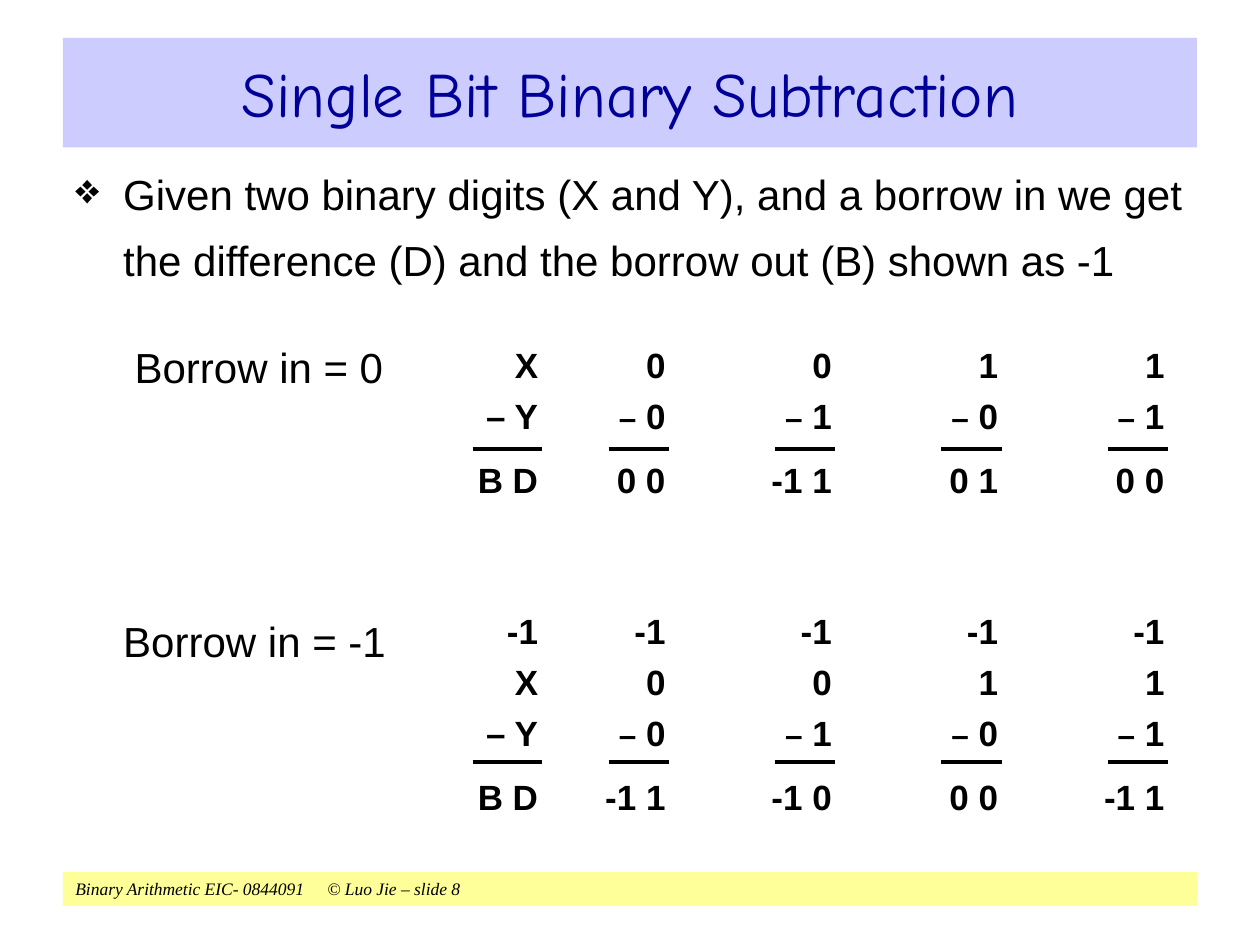
from lxml.etree import SubElement
from pptx import Presentation
from pptx.dml.color import RGBColor
from pptx.enum.shapes import MSO_CONNECTOR, MSO_SHAPE
from pptx.enum.text import MSO_ANCHOR, PP_ALIGN
from pptx.oxml.ns import qn
from pptx.util import Inches, Pt

TITLE = "Single Bit Binary Subtraction"
FOOTER = "Binary Arithmetic EIC- 0844091\t© Luo Jie – slide 8"
BODY = [
    ("Given two binary digits (X and Y), and a borrow in we get "
     "the difference (D) and the borrow out (B) shown as -1", 0.38, 0, "❖"),
    ("Borrow in = 0", 0.47, 24, None),
    ("Borrow in = -1", 0.38, 119, None),
]
OPERANDS = [("X", "Y"), ("0", "0"), ("0", "1"), ("1", "0"), ("1", "1")]
BLOCKS = [
    {"top": 2.68, "height": 1.35, "rule": 3.56, "borrow": [],
     "results": ["B D", "0 0", "-1 1", "0 1", "0 0"]},
    {"top": 4.79, "height": 1.75, "rule": 6.05, "borrow": ["-1"],
     "results": ["B D", "-1 1", "-1 0", "0 0", "-1 1"]},
]
MARGIN, CONTENT_WIDTH = 0.5, 9
LEGEND_LEFT, LEGEND_WIDTH = 3.61, 0.76
DIGITS_LEFT, DIGITS_WIDTH, DIGITS_PITCH = 4.69, 0.69, 1.32


def color(value):
    return RGBColor.from_string(value)


def style(paragraph, size, name="Arial", fill="000000", bold=False, italic=False):
    font = paragraph.font
    font.size, font.name, font.bold, font.italic = Pt(size), name, bold, italic
    font.color.rgb = color(fill)


def add_band(slide, top, height, fill, text):
    shape = slide.shapes.add_shape(MSO_SHAPE.RECTANGLE, Inches(MARGIN), Inches(top),
                                   Inches(CONTENT_WIDTH), Inches(height))
    shape.shadow.inherit = False
    shape.fill.solid()
    shape.fill.fore_color.rgb = color(fill)
    shape.line.fill.background()
    shape.text_frame.vertical_anchor = MSO_ANCHOR.MIDDLE
    paragraph = shape.text_frame.paragraphs[0]
    paragraph.text = text
    return paragraph


def add_text_frame(slide, left, top, width, height):
    box = slide.shapes.add_textbox(Inches(left), Inches(top), Inches(width), Inches(height))
    box.text_frame.word_wrap = True
    return box.text_frame


def next_paragraph(frame, index):
    return frame.add_paragraph() if index else frame.paragraphs[0]


def add_body(slide):
    frame = add_text_frame(slide, MARGIN, 1.17, CONTENT_WIDTH, 5.63)
    for index, (text, indent, space, bullet) in enumerate(BODY):
        paragraph = next_paragraph(frame, index)
        paragraph.text = text
        paragraph.line_spacing = 1.3
        paragraph.space_before = Pt(space)
        properties = paragraph._p.get_or_add_pPr()
        properties.set("marL", str(Inches(indent)))
        if bullet:
            properties.set("indent", str(-Inches(indent)))
            SubElement(properties, qn("a:buChar"), char=bullet)
        style(paragraph, 24)


def add_rule(slide, start, end, y):
    rule = slide.shapes.add_connector(MSO_CONNECTOR.STRAIGHT, Inches(start), Inches(y),
                                      Inches(end), Inches(y))
    rule.line.color.rgb = color("000000")
    rule.line.width = Pt(2.25)
    SubElement(rule._element.spPr, qn("a:effectLst"))


def add_subtraction(slide, block, column):
    if column:
        left, width = DIGITS_LEFT + (column - 1) * DIGITS_PITCH, DIGITS_WIDTH
    else:
        left, width = LEGEND_LEFT, LEGEND_WIDTH
    minuend, subtrahend = OPERANDS[column]
    rows = block["borrow"] + [minuend, "– " + subtrahend, block["results"][column]]
    frame = add_text_frame(slide, left, block["top"], width, block["height"])
    for index, text in enumerate(rows):
        paragraph = next_paragraph(frame, index)
        paragraph.alignment = PP_ALIGN.RIGHT
        last = index == len(rows) - 1
        paragraph.space_before = Pt(12.5 if last else 5 if index else 0)
        style(paragraph, 20, bold=True)
        if column and text.startswith("–"):
            sign = paragraph.add_run()
            sign.text = text[0]
            sign.font.size = Pt(18)
            text = text[1:]
        paragraph.add_run().text = text
    add_rule(slide, left + 0.14, left + width - 0.07, block["rule"])


def main():
    presentation = Presentation()
    presentation.slide_width, presentation.slide_height = Inches(10), Inches(7.5)
    slide = presentation.slides.add_slide(presentation.slide_layouts[6])

    footer = add_band(slide, 6.92, 0.27, "FFFF99", FOOTER)
    footer.alignment = PP_ALIGN.LEFT
    tabs = SubElement(footer._p.get_or_add_pPr(), qn("a:tabLst"))
    SubElement(tabs, qn("a:tab"), pos=str(Inches(2)), algn="l")
    style(footer, 10, "Times New Roman", italic=True)

    title = add_band(slide, 0.3, 0.87, "CCCCFF", TITLE)
    title.alignment = PP_ALIGN.CENTER
    style(title, 36, "Comic Neue", "000099")

    add_body(slide)
    for block in BLOCKS:
        for column in range(len(OPERANDS)):
            add_subtraction(slide, block, column)
    presentation.save("out.pptx")


if __name__ == "__main__":
    main()
